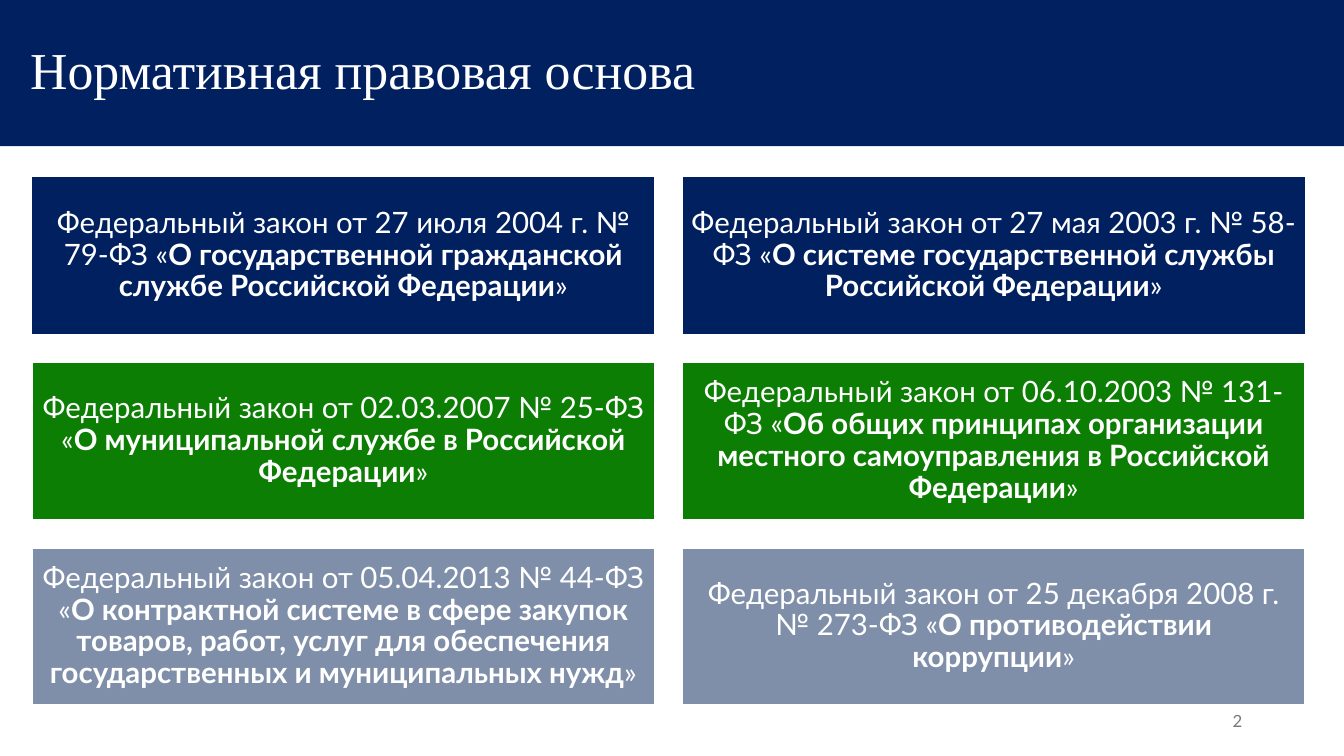
from pptx import Presentation
from pptx.dml.color import RGBColor
from pptx.enum.shapes import MSO_SHAPE
from pptx.enum.text import MSO_ANCHOR, PP_ALIGN
from pptx.util import Inches, Pt

RECTANGLE = MSO_SHAPE.RECTANGLE
MIDDLE = MSO_ANCHOR.MIDDLE
LEFT, CENTER, RIGHT = PP_ALIGN.LEFT, PP_ALIGN.CENTER, PP_ALIGN.RIGHT

SLIDE_WIDTH, SLIDE_HEIGHT = 13.33, 7.5
NAVY, GREEN, GREY_BLUE = "002060", "0D7E04", "7F8FA9"
WHITE, GREY = "FFFFFF", "797979"

# Each law: date and number, then its name
LAWS = [
    ("от 27 июля 2004 г. № 79-ФЗ",
     "О государственной гражданской службе Российской Федерации"),
    ("от 27 мая 2003 г. № 58-ФЗ",
     "О системе государственной службы Российской Федерации"),
    ("от 02.03.2007 № 25-ФЗ",
     "О муниципальной службе в Российской Федерации"),
    ("от 06.10.2003 № 131-ФЗ",
     "Об общих принципах организации местного самоуправления в Российской Федерации"),
    ("от 05.04.2013 № 44-ФЗ",
     "О контрактной системе в сфере закупок товаров, работ, услуг "
     "для обеспечения государственных и муниципальных нужд"),
    ("от 25 декабря 2008 г. № 273-ФЗ",
     "О противодействии коррупции"),
]
# Each row: fill and outline width
ROW_STYLES = [(NAVY, 1.5), (GREEN, 2), (GREY_BLUE, 2)]


def color(hex_code):
    return RGBColor.from_string(hex_code)


def write(frame, runs, size, font="Lato", ink=WHITE, align=LEFT, spacing=1.0, insets=(0.1, 0.05)):
    """Fill a text frame with one paragraph of (text, bold) runs."""
    frame.word_wrap = True
    frame.vertical_anchor = MIDDLE
    side, edge = insets
    frame.margin_left = frame.margin_right = Inches(side)
    frame.margin_top = frame.margin_bottom = Inches(edge)
    paragraph = frame.paragraphs[0]
    paragraph.alignment = align
    paragraph.line_spacing = spacing
    for text, bold in runs:
        run = paragraph.add_run()
        run.text = text
        run.font.size = Pt(size)
        run.font.name = font
        run.font.bold = bold
        run.font.color.rgb = color(ink)


class LawSlide:
    # Grid of cards, in inches
    left, top = 0.31, 1.75
    card_width, card_height = 6.19, 1.57
    column_step, row_step = 6.45, 1.84

    def __init__(self, deck):
        self.slide = deck.slides.add_slide(deck.slide_layouts[6])

    def block(self, left, top, width, height, fill, outline=None):
        block = self.slide.shapes.add_shape(
            RECTANGLE, Inches(left), Inches(top), Inches(width), Inches(height))
        block.shadow.inherit = False
        block.fill.solid()
        block.fill.fore_color.rgb = color(fill)
        if outline:
            block.line.color.rgb = color(WHITE)
            block.line.width = Pt(outline)
        else:
            block.line.fill.background()
        return block.text_frame

    def banner(self, title):
        frame = self.block(0, 0, SLIDE_WIDTH, 1.45, NAVY)
        write(frame, [(title, False)], 37, font="Times New Roman",
              spacing=0.9, insets=(0.3, 0.05))

    def card(self, column, row, law):
        fill, outline = ROW_STYLES[row]
        frame = self.block(self.left + column * self.column_step,
                           self.top + row * self.row_step,
                           self.card_width, self.card_height, fill, outline)
        number, name = law
        runs = [(f"Федеральный закон {number} «", False), (name, True), ("»", False)]
        write(frame, runs, 21, align=CENTER, spacing=0.9, insets=(0.09, 0.09))

    def page_number(self, number):
        box = self.slide.shapes.add_textbox(
            Inches(9.42), Inches(6.95), Inches(3), Inches(0.4))
        write(box.text_frame, [(str(number), False)], 12, ink=GREY, align=RIGHT)


def main():
    deck = Presentation()
    deck.slide_width, deck.slide_height = Inches(SLIDE_WIDTH), Inches(SLIDE_HEIGHT)
    page = LawSlide(deck)

    # Law cards, two per row
    for index, law in enumerate(LAWS):
        row, column = divmod(index, 2)
        page.card(column, row, law)

    # Title and page number
    page.banner("Нормативная правовая основа")
    page.page_number(2)

    deck.save("out.pptx")


if __name__ == "__main__":
    main()
